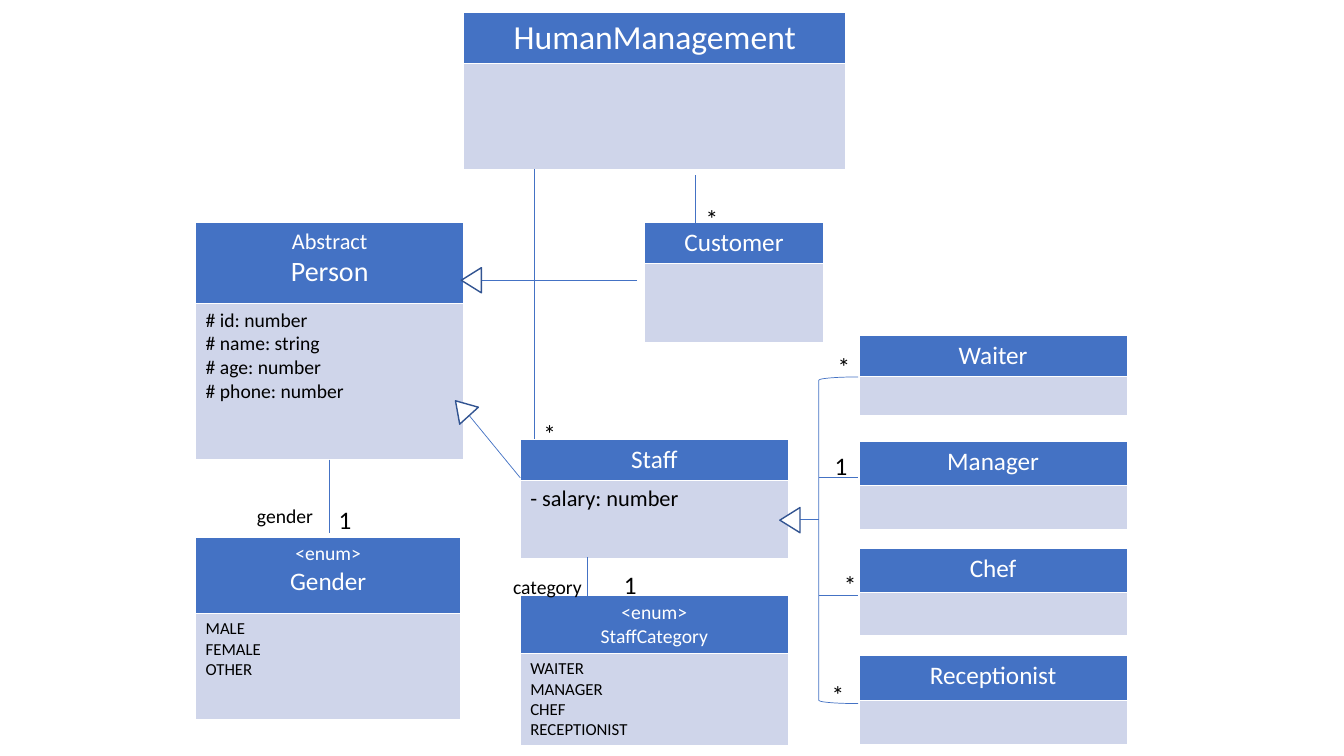
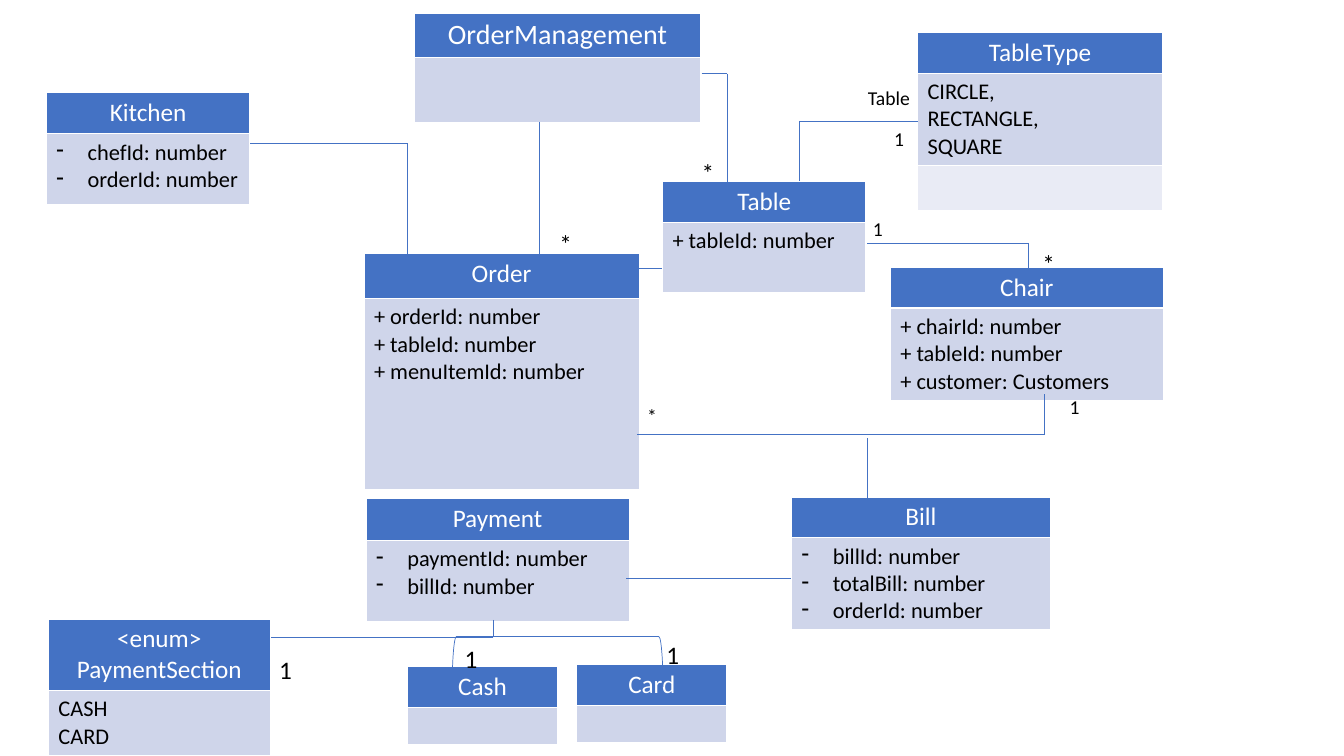
"""Build two UML class diagram slides."""
from dataclasses import dataclass
from itertools import pairwise

from lxml import etree
from pptx import Presentation
from pptx import util as u
from pptx.dml.color import RGBColor
from pptx.enum import shapes, text
from pptx.oxml.ns import qn

EMU_PER_PX = 9144


@dataclass(frozen=True)
class Theme:
    font: str = "Calibri"
    header: str = "4472C4"
    wire: str = "4472C4"
    body: str = "CFD5EA"
    band: str = "E9EBF5"
    light: str = "FFFFFF"
    ink: str = "000000"
    arrow_line: str = "325491"
    tiny: int = 12
    small: int = 14
    medium: int = 16
    name: int = 18
    large: int = 20
    hero: int = 24
    wire_width: float = 0.5
    arrow_width: float = 1


T = Theme()


@dataclass(frozen=True)
class UmlClass:
    x: int
    y: int
    w: int
    rows: tuple[int, ...]
    header: tuple[tuple[str, int], ...]
    members: tuple[str, ...] = ()
    size: int = T.medium
    dashed: bool = False


@dataclass(frozen=True)
class Label:
    x: int
    y: int
    w: int
    words: str
    size: int = T.name


@dataclass(frozen=True)
class Wire:
    points: tuple[tuple[int, int], ...]
    arrow: bool = False


@dataclass(frozen=True)
class Preset:
    x: int
    y: int
    w: int
    h: int
    rotation: float = 0


@dataclass(frozen=True)
class Diagram:
    classes: tuple[UmlClass, ...]
    wires: tuple[Wire, ...]
    brackets: tuple[Preset, ...]
    labels: tuple[Label, ...]
    triangles: tuple[Preset, ...] = ()


def px(n: int) -> u.Emu:
    """Turn px into EMU."""
    return u.Emu(n * EMU_PER_PX)


def rgb(value: str) -> RGBColor:
    """Turn a hex string into a colour."""
    return RGBColor.from_string(value)


def add_run(p, words: str, size: int, color: str) -> None:
    """Add one formatted run to a paragraph."""
    r = p.add_run()
    r.text = words
    r.font.name = T.font
    r.font.size = u.Pt(size)
    r.font.bold = False
    r.font.color.rgb = rgb(color)


def add_dash(p) -> None:
    """Give a paragraph a hanging dash bullet."""
    pPr = p._p.get_or_add_pPr()
    pPr.set("marL", str(px(31)))
    pPr.set("indent", str(px(-31)))
    etree.SubElement(pPr, qn("a:buChar")).set("char", "-")


def fill_cell(cell, lines, color: str, fill: str, centred=False, dashed=False) -> None:
    """Fill a table cell with one paragraph per line."""
    cell.fill.solid()
    cell.fill.fore_color.rgb = rgb(fill)
    if not lines:
        cell.margin_top = cell.margin_bottom = 0
    tf = cell.text_frame
    for i, (words, size) in enumerate(lines):
        p = tf.add_paragraph() if i else tf.paragraphs[0]
        if centred:
            p.alignment = text.PP_ALIGN.CENTER
        if dashed:
            add_dash(p)
        add_run(p, words, size, color)


def draw_class(s, c: UmlClass) -> None:
    """Draw a class as a one-column table."""
    frame = s.shapes.add_table(len(c.rows), 1, px(c.x), px(c.y), px(c.w), px(sum(c.rows)))
    table = frame.table
    for row, height in zip(table.rows, c.rows):
        row.height = px(height)
    fill_cell(table.cell(0, 0), c.header, T.light, T.header, centred=True)
    members = [(m, c.size) for m in c.members]
    fill_cell(table.cell(1, 0), members, T.ink, T.body, dashed=c.dashed)
    for i in range(2, len(c.rows)):
        fill_cell(table.cell(i, 0), (), T.ink, T.band)


def draw_wire(s, wire: Wire) -> None:
    """Draw straight segments through the points of a wire."""
    for (x1, y1), (x2, y2) in pairwise(wire.points):
        sp = s.shapes.add_connector(
            shapes.MSO_CONNECTOR.STRAIGHT, px(x1), px(y1), px(x2), px(y2))
        sp.line.color.rgb = rgb(T.wire)
        sp.line.width = u.Pt(T.wire_width)
        if wire.arrow:
            ln = sp.line._get_or_add_ln()
            etree.SubElement(ln, qn("a:tailEnd")).set("type", "triangle")
        etree.SubElement(sp._element.spPr, qn("a:effectLst"))


def draw_preset(s, kind, item: Preset, color: str, width: float):
    """Draw an outlined, unfilled preset shape."""
    sp = s.shapes.add_shape(kind, px(item.x), px(item.y), px(item.w), px(item.h))
    sp.rotation = item.rotation
    sp.shadow.inherit = False
    sp.fill.background()
    sp.line.color.rgb = rgb(color)
    sp.line.width = u.Pt(width)
    return sp


def draw_label(s, label: Label) -> None:
    """Draw a role name or multiplicity."""
    height = 40 if label.size == T.name else 34
    sp = s.shapes.add_textbox(px(label.x), px(label.y), px(label.w), px(height))
    tf = sp.text_frame
    tf.word_wrap = True
    tf.auto_size = text.MSO_AUTO_SIZE.SHAPE_TO_FIT_TEXT
    add_run(tf.paragraphs[0], label.words, label.size, T.ink)


def draw_diagram(prs, diagram: Diagram) -> None:
    """Add a slide holding one diagram."""
    s = prs.slides.add_slide(prs.slide_layouts[6])
    for c in diagram.classes:
        draw_class(s, c)
    for wire in diagram.wires:
        draw_wire(s, wire)
    for bracket in diagram.brackets:
        draw_preset(s, shapes.MSO_SHAPE.LEFT_BRACKET, bracket, T.wire, T.wire_width)
    for label in diagram.labels:
        draw_label(s, label)
    for triangle in diagram.triangles:
        sp = draw_preset(s, shapes.MSO_SHAPE.ISOSCELES_TRIANGLE, triangle,
                         T.arrow_line, T.arrow_width)
        sp.fill.solid()
        sp.fill.fore_color.rgb = rgb(T.light)


def named(name: str, size: int = T.name) -> tuple[tuple[str, int], ...]:
    """Return a one-line class header."""
    return ((name, size),)


HUMANS = Diagram(
    classes=(
        UmlClass(460, 12, 379, (51, 105), named("HumanManagement", T.hero)),
        UmlClass(194, 221, 266, (80, 155), (("Abstract", T.medium), ("Person", T.large)),
                 ("# id: number", "# name: string", "# age: number", "# phone: number"),
                 T.small),
        UmlClass(194, 533, 263, (76, 105), (("<enum>", T.small), ("Gender", T.name)),
                 ("MALE", "FEMALE", "OTHER"), T.tiny),
        UmlClass(639, 221, 178, (40, 78), named("Customer")),
        UmlClass(516, 436, 266, (40, 78), named("Staff"), ("- salary: number",)),
        UmlClass(516, 591, 266, (57, 90), (("<enum>", T.small), ("StaffCategory", T.small)),
                 ("WAITER", "MANAGER", "CHEF", "RECEPTIONIST"), T.tiny),
        UmlClass(852, 333, 266, (40, 39), named("Waiter")),
        UmlClass(852, 438, 266, (44, 43), named("Manager")),
        UmlClass(852, 544, 266, (44, 43), named("Chef")),
        UmlClass(852, 650, 266, (45, 44), named("Receptionist")),
    ),
    wires=(
        Wire(((327, 456), (327, 529))),
        Wire(((530, 168), (530, 436))),
        Wire(((690, 174), (690, 221))),
        Wire(((583, 553), (583, 591))),
        Wire(((516, 474), (457, 402)), arrow=True),
        Wire(((632, 278), (461, 278)), arrow=True),
        Wire(((812, 515), (783, 515)), arrow=True),
        Wire(((812, 474), (851, 474))),
        Wire(((812, 591), (851, 591))),
    ),
    brackets=(Preset(812, 374, 39, 324),),
    labels=(
        Label(326, 495, 45, "1"),
        Label(245, 495, 104, "gender", T.small),
        Label(499, 565, 104, "category", T.small),
        Label(609, 560, 45, "1"),
        Label(690, 197, 55, "*"),
        Label(529, 410, 55, "*"),
        Label(821, 344, 55, "*"),
        Label(818, 442, 40, "1"),
        Label(827, 560, 55, "*"),
        Label(815, 669, 55, "*"),
    ),
    triangles=(
        Preset(455, 268, 25, 20, 270),
        Preset(446, 395, 25, 20, 317.7),
        Preset(771, 506, 25, 20, 270),
    ),
)

ORDERS = Diagram(
    classes=(
        UmlClass(411, 13, 284, (43, 65), named("OrderManagement", T.large)),
        UmlClass(657, 180, 202, (40, 70), named("Table"), ("+ tableId: number",)),
        UmlClass(910, 32, 243, (40, 91, 45), named("TableType"),
                 ("CIRCLE,", "RECTANGLE,", "SQUARE")),
        UmlClass(361, 251, 273, (45, 190), named("Order"),
                 ("+ orderId: number", "+ tableId: number", "+ menuItemId: number")),
        UmlClass(883, 265, 271, (40, 90), named("Chair"),
                 ("+ chairId: number", "+ tableId: number", "+ customer: Customers")),
        UmlClass(785, 493, 257, (40, 90), named("Bill"),
                 ("billId: number", "totalBill: number", "orderId: number"), dashed=True),
        UmlClass(363, 494, 261, (42, 81), named("Payment"),
                 ("paymentId: number", "billId: number"), dashed=True),
        UmlClass(48, 614, 220, (70, 63), (("<enum>", T.name), ("PaymentSection", T.name)),
                 ("CASH", "CARD")),
        UmlClass(404, 661, 149, (40, 37), named("Cash")),
        UmlClass(572, 659, 149, (40, 37), named("Card")),
        UmlClass(46, 92, 202, (40, 70), named("Kitchen"),
                 ("chefId: number", "orderId: number"), dashed=True),
    ),
    wires=(
        Wire(((910, 120), (793, 120), (793, 180))),
        Wire(((860, 241), (1020, 241), (1020, 266))),
        Wire(((1036, 391), (1036, 431), (632, 431))),
        Wire(((860, 435), (860, 496))),
        Wire(((621, 574), (785, 574))),
        Wire(((489, 615), (489, 632), (269, 632))),
        Wire(((696, 73), (721, 73), (721, 195))),
        Wire(((248, 142), (404, 142), (404, 263))),
        Wire(((630, 266), (657, 266))),
        Wire(((535, 121), (535, 253))),
    ),
    brackets=(Preset(528, 552, 50, 209, 90),),
    labels=(
        Label(851, 80, 103, "Table", T.small),
        Label(877, 121, 38, "1", T.small),
        Label(545, 222, 61, "*"),
        Label(1024, 241, 55, "*"),
        Label(267, 644, 45, "1"),
        Label(451, 633, 45, "1"),
        Label(651, 629, 45, "1"),
        Label(856, 210, 38, "1", T.small),
        Label(1051, 387, 38, "1", T.small),
        Label(632, 396, 38, "*", T.small),
        Label(686, 151, 61, "*"),
    ),
)


def main() -> None:
    """Build and save the presentation."""
    prs = Presentation()
    prs.slide_width, prs.slide_height = px(1333), px(750)
    for diagram in (HUMANS, ORDERS):
        draw_diagram(prs, diagram)
    prs.save("out.pptx")


if __name__ == "__main__":
    main()
